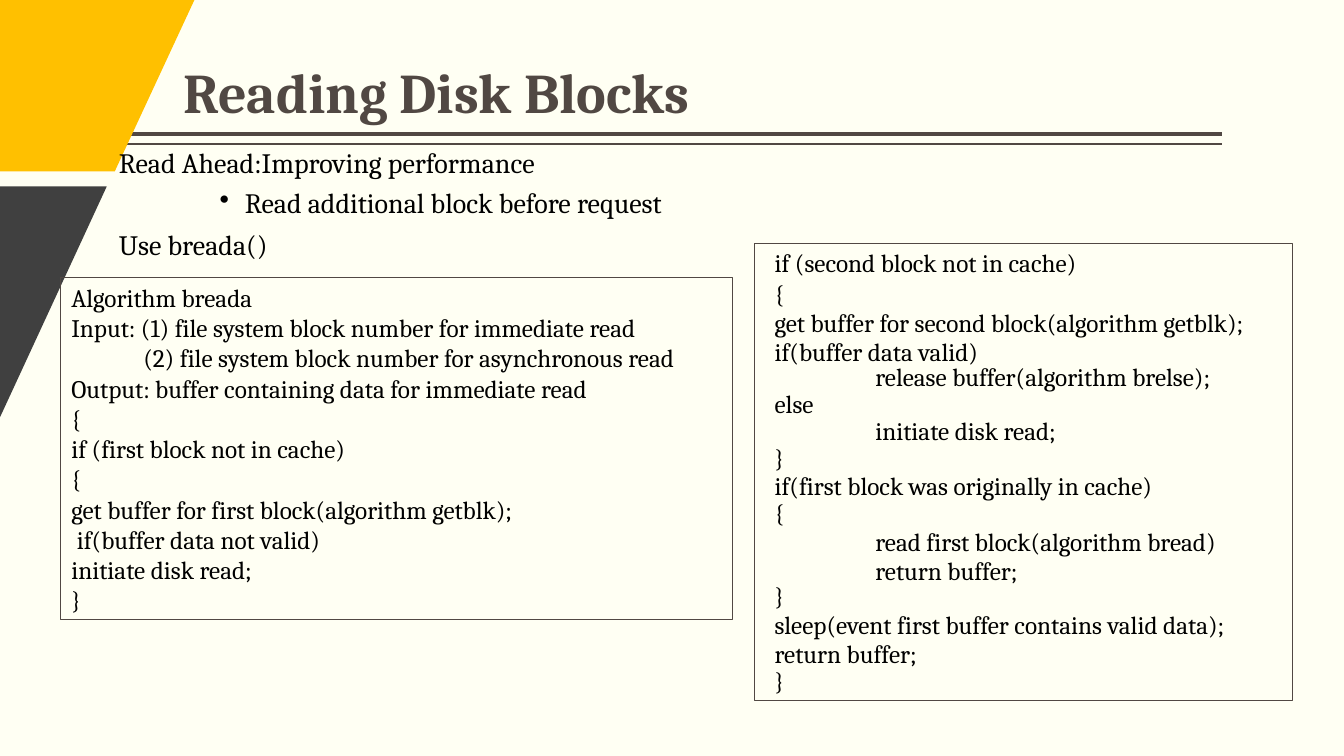
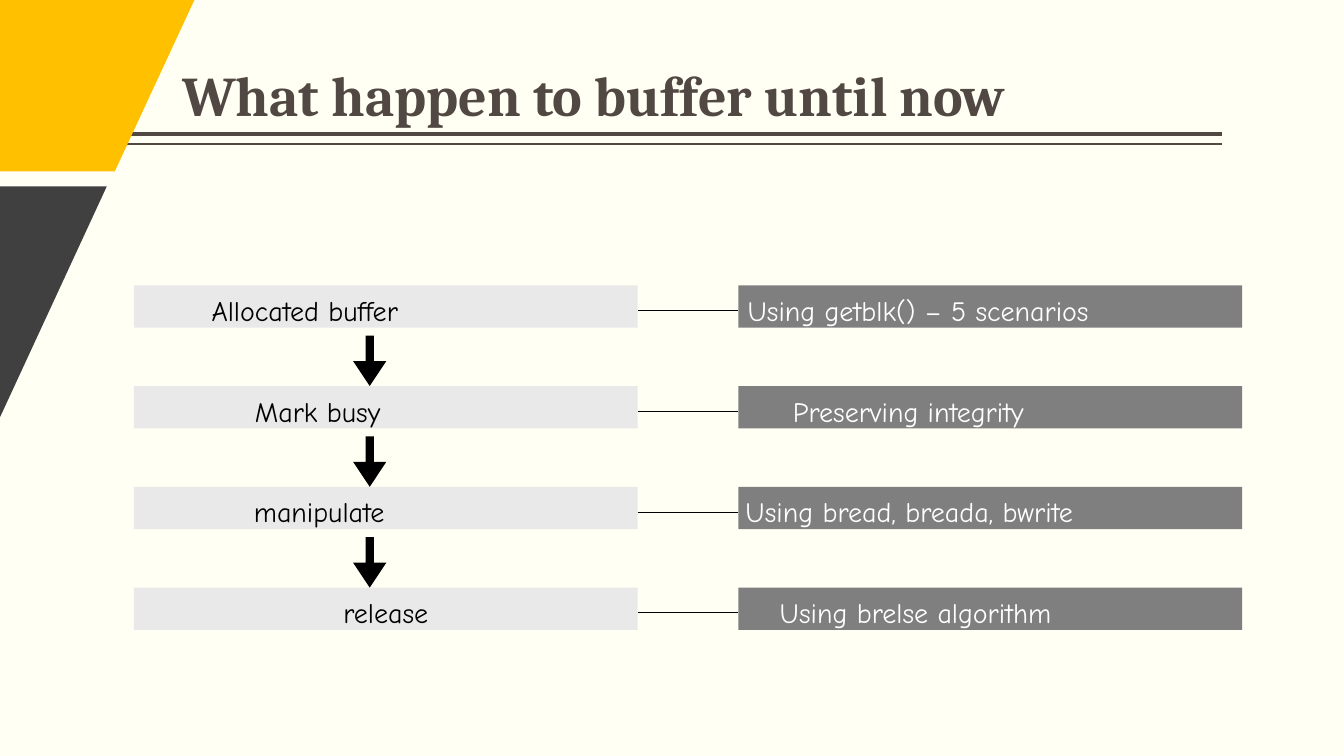
from lxml import etree
from pptx import Presentation
from pptx import util as u
from pptx.dml.color import RGBColor
from pptx.enum import shapes, text
from pptx.oxml import ns

BACKGROUND, INK, BLACK, WHITE = "FFFFF3", "514843", "000000", "FFFFFF"
YELLOW, CHARCOAL, PALE, GRAY = "FFC000", "404040", "E9E9E9", "7F7F7F"
SERIF, CASUAL = "Cambria", "Comic Neue"

BANDS = [
    (YELLOW, [(0, 0), (1.93, 0), (1.14, 1.7), (0, 1.7)]),
    (CHARCOAL, [(0, 1.85), (1.06, 1.85), (0, 4.14)]),
]
RULES = [(1.33, 3), (1.43, 1)]

INTRO = [
    ("Read Ahead:Improving performance", {"indent": 0.04}),
    ("Read additional block before request",
     {"indent": 1.29, "bullet": "•", "space_before": u.Pt(5.1)}),
    ("Use breada()", {"indent": 0.04, "space_before": u.Pt(5.9)}),
]
ALGORITHM = [
    "Algorithm breada",
    "Input: (1) file system block number for immediate read",
    "             (2) file system block number for asynchronous read",
    "Output: buffer containing data for immediate read",
    "{",
    "if (first block not in cache)",
    "{",
    "get buffer for first block(algorithm getblk);",
    " if(buffer data not valid)",
    "initiate disk read;",
    "}",
]
CONTINUATION = [
    ("if (second block not in cache)", 0, 20.5, 0),
    ("{", 0, 20.5, 1.4),
    ("get buffer for second block(algorithm getblk);", 0, 19.5, 1.2),
    ("if(buffer data valid)", 0, 19.5, 1.2),
    ("release buffer(algorithm brelse);", 1, 18, 0),
    ("else", 0, 19.4, 0),
    ("initiate disk read;", 1, 19.4, 0),
    ("}", 0, 19.4, 0),
    ("if(first block was originally in cache)", 0, 19.5, 0),
    ("{", 0, 19.5, 0),
    ("read first block(algorithm bread)", 1, 19.4, 1.4),
    ("return buffer;", 1, 19.4, 1.4),
    ("}", 0, 18, 0),
    ("sleep(event first buffer contains valid data);", 0, 19.5, 1.2),
    ("return buffer;", 0, 19.5, 1.2),
    ("}", 0, 19.1, 0),
]
STAGES = [
    ("Allocated buffer", {"indent": 0.77}, "Using getblk() – 5 scenarios", 0.09),
    ("Mark busy", {"indent": 1.2}, "Preserving integrity", 0.54),
    ("manipulate", {"indent": 1.19}, "Using bread, breada, bwrite", 0.07),
    ("release", {"alignment": text.PP_ALIGN.CENTER}, "Using brelse algorithm", 0.41),
]


def color(value):
    return RGBColor.from_string(value)


def apply(target, values):
    for name, value in values.items():
        setattr(target, name, value)


def paint(shape, fill=None, line=None, width=0.75):
    shape.shadow.inherit = False
    if fill:
        shape.fill.solid()
        shape.fill.fore_color.rgb = color(fill)
    else:
        shape.fill.background()
    if line:
        shape.line.color.rgb = color(line)
        shape.line.width = u.Pt(width)
    else:
        shape.line.fill.background()


def set_frame(frame, insets, anchor=text.MSO_ANCHOR.TOP):
    left, top, right, bottom = map(u.Inches, insets)
    apply(frame, {
        "margin_left": left, "margin_top": top,
        "margin_right": right, "margin_bottom": bottom,
        "word_wrap": True, "auto_size": text.MSO_AUTO_SIZE.NONE,
        "vertical_anchor": anchor,
    })


def set_indent(para, indent, bullet):
    properties = para._p.get_or_add_pPr()
    properties.set("marL", str(u.Inches(indent)))
    properties.set("indent", str(u.Inches(-0.25 if bullet else 0)))
    if bullet:
        etree.SubElement(properties, ns.qn("a:buChar"), char=bullet)


def write(frame, lines, size, font=SERIF, ink=BLACK, bold=False):
    for index, (words, values) in enumerate(lines):
        para = frame.add_paragraph() if index else frame.paragraphs[0]
        values = {"alignment": text.PP_ALIGN.LEFT, **values}
        set_indent(para, values.pop("indent", 0), values.pop("bullet", None))
        apply(para, values)
        span = para.add_run()
        span.text = words
        apply(span.font, {"name": font, "size": u.Pt(size), "bold": bold})
        span.font.color.rgb = color(ink)


def add_box(page, place, fill=None, line=None):
    box = page.shapes.add_shape(shapes.MSO_SHAPE.RECTANGLE, *map(u.Inches, place))
    paint(box, fill, line)
    return box


def add_line(page, start, end, ink, width):
    line = page.shapes.add_connector(
        shapes.MSO_CONNECTOR.STRAIGHT, *map(u.Inches, (*start, *end)))
    line.line.color.rgb = color(ink)
    line.line.width = u.Pt(width)
    etree.SubElement(line._element.spPr, ns.qn("a:effectLst"))


def add_band(page, fill, points):
    first, *others = [tuple(map(u.Inches, point)) for point in points]
    builder = page.shapes.build_freeform(*first)
    builder.add_line_segments(others, close=True)
    paint(builder.convert_to_shape(), fill)


def add_down_arrow(page, center, top):
    width, height = 0.33, 0.5
    arrow = page.shapes.add_shape(
        shapes.MSO_SHAPE.DOWN_ARROW,
        *map(u.Inches, (center - width / 2, top, width, height)))
    arrow.adjustments[0] = 0.25
    arrow.adjustments[1] = 0.75
    paint(arrow, BLACK)


def add_page(deck, heading, place):
    page = deck.slides.add_slide(deck.slide_layouts[5])
    title = page.shapes.title
    apply(title, dict(zip(("left", "top", "width", "height"), map(u.Inches, place))))
    set_frame(title.text_frame, (0, 0.05, 0, 0.05), text.MSO_ANCHOR.BOTTOM)
    write(title.text_frame, [(heading, {"line_spacing": 0.9})], 40, ink=INK, bold=True)
    for top, width in RULES:
        add_line(page, (1.21, top), (12.13, top), INK, width)
    for fill, points in BANDS:
        add_band(page, fill, points)
    return page


def add_code(page, place, lines):
    box = add_box(page, place, line=INK)
    set_frame(box.text_frame, (0.1, 0.05, 0.1, 0.05))
    write(box.text_frame, lines, 18)


def add_label(page, left, top, words, values, fill, ink):
    box = add_box(page, (left, top, 5, 0.42), fill)
    set_frame(box.text_frame, (0, 0.08, 0, 0))
    write(box.text_frame, [(words, values)], 20, CASUAL, ink)


def build_reading(deck):
    page = add_page(deck, "Reading Disk Blocks", (1.82, 0, 10.25, 1.3))
    intro = page.shapes.add_textbox(*map(u.Inches, (1.14, 1.33, 9.15, 1.26)))
    set_frame(intro.text_frame, (0, 0.11, 0, 0))
    write(intro.text_frame, INTRO, 20)
    add_code(page, (0.6, 2.75, 6.67, 3.4),
             [(words, {"indent": 0.01}) for words in ALGORITHM])
    add_code(page, (7.49, 2.42, 5.34, 4.53), [
        (words, {"indent": 0.1 + depth, "line_spacing": u.Pt(spacing),
                 "space_before": u.Pt(before)})
        for words, depth, spacing, before in CONTINUATION])


def build_stages(deck):
    page = add_page(deck, "What happen to buffer until now", (1.81, 0.34, 10.78, 0.99))
    for row, (stage, values, method, indent) in enumerate(STAGES):
        top = 2.83 + row
        add_label(page, 1.33, top, stage, values, PALE, BLACK)
        add_label(page, 7.33, top, method, {"indent": indent}, GRAY, WHITE)
        add_line(page, (6.33, top + 0.25), (7.33, top + 0.25), BLACK, 0.75)
        if row:
            add_down_arrow(page, 3.67, top - 0.5)


def main():
    deck = Presentation()
    deck.slide_width, deck.slide_height = u.Inches(13.34), u.Inches(7.5)
    fill = deck.slide_master.background.fill
    fill.solid()
    fill.fore_color.rgb = color(BACKGROUND)
    build_reading(deck)
    build_stages(deck)
    deck.save("out.pptx")


if __name__ == "__main__":
    main()
